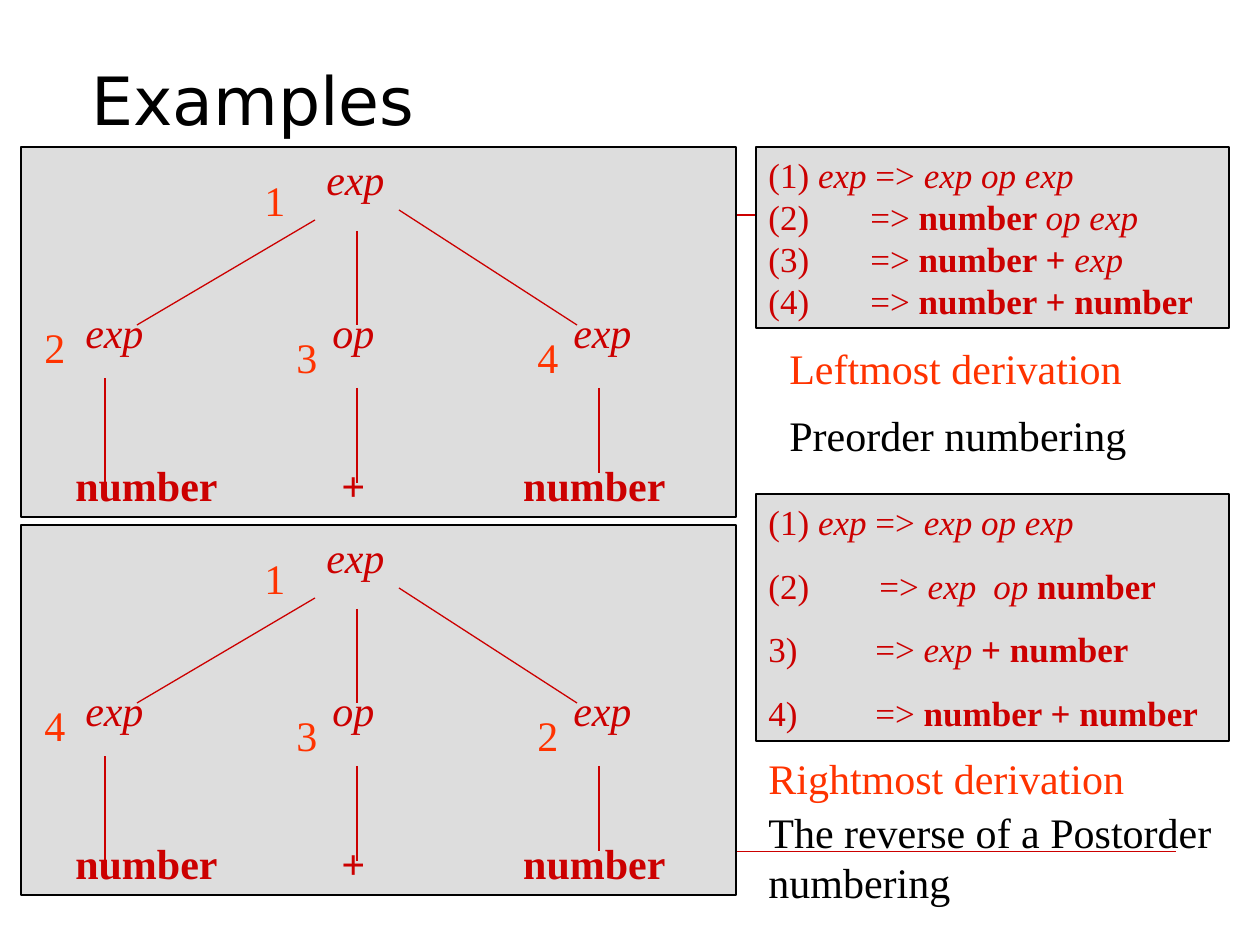
from lxml import etree
from pptx import Presentation
from pptx import util as u
from pptx.dml.color import RGBColor
from pptx.enum import shapes, text
from pptx.oxml.ns import qn

RED, ORANGE, BLACK, GREY = "CC0000", "FF3300", "000000", "DDDDDD"
SERIF, SANS = "Times New Roman", "DejaVu Sans"

RULES = [((84, 215, 1181, 215), 0.75), ((84, 851, 1176, 851), 0.25)]

# each paragraph: runs of (words, style), then its layout
TREE_ROWS = [
    ([("\texp", "i")], {"tabs": [322]}),
    ([("\texp\top\texp", "i")], {"tabs": [81, 320, 569]}),
    ([("\tnumber\t+\tnumber", "b")], {"tabs": [113, 320, 561]}),
]
EDGES = [
    (315, 220, 137, 325), (399, 210, 577, 325), (357, 231, 357, 325),
    (105, 378, 105, 483), (357, 388, 357, 483), (599, 388, 599, 473),
]
NUMBER_SPOTS = [(252, 168), (32, 315), (284, 325), (525, 325)]
TREES = [(0, "1234"), (378, "1432")]

FIRST_STEP = ([("(1) ", ""), ("exp", "i"), (" => ", ""), ("exp op exp", "i")], {})
LEFTMOST = [
    FIRST_STEP,
    ([("(2)\t=> ", ""), ("number ", "b"), ("op exp", "i")], {"tabs": [102]}),
    ([("(3)\t=> ", ""), ("number +", "b"), (" exp", "i")], {"tabs": [102]}),
    ([("(4)\t=> ", ""), ("number + number", "b")], {"tabs": [102]}),
]
RIGHTMOST = [
    FIRST_STEP,
    ([("(2)\t=> ", ""), ("exp\top", "i"), (" number", "b")], {"tabs": [111, 225]}),
    ([("=>", ""), (" exp", "i"), (" + number", "b")], {"hang": 107, "start": 3}),
    ([("=> ", ""), ("number + number", "b")], {"hang": 107, "start": 3}),
]
DERIVATIONS = [((756, 147, 473, 181), LEFTMOST, 0), ((756, 494, 473, 247), RIGHTMOST, 12.5)]

CAPTIONS = [
    ("Leftmost derivation", (777, 336, 451, 63), ORANGE),
    ("Rightmost derivation", (756, 746, 483, 63), ORANGE),
    ("Preorder numbering", (777, 403, 451, 63), BLACK),
    ("The reverse of a Postorder numbering", (756, 800, 483, 113), BLACK),
]


def px(n):
    return u.Emu(round(n * 914400 / 126))


def rgb(value):
    return RGBColor.from_string(value)


def add_line(s, ends, width=0.75):
    line = s.shapes.add_connector(shapes.MSO_CONNECTOR.STRAIGHT, *map(px, ends))
    line.line.color.rgb = rgb(RED)
    line.line.width = u.Pt(width)
    etree.SubElement(line._element.spPr, qn("a:effectLst"))


def write(sp, paragraphs, size, color, font=SERIF, before=0, align="l", wrap=True):
    tf = sp.text_frame
    tf.word_wrap = wrap
    tf.vertical_anchor = text.MSO_ANCHOR.TOP
    for i, (runs, layout) in enumerate(paragraphs):
        p = tf.add_paragraph() if i else tf.paragraphs[0]
        p.alignment = text.PP_ALIGN.LEFT
        if i and before:
            p.space_before = u.Pt(before)
        pPr = p._p.get_or_add_pPr()
        if "hang" in layout:
            pPr.set("marL", str(px(layout["hang"])))
            pPr.set("indent", str(-px(layout["hang"])))
            etree.SubElement(pPr, qn("a:buAutoNum"), type="arabicParenR",
                             startAt=str(layout["start"]))
        if "tabs" in layout:
            stops = etree.SubElement(pPr, qn("a:tabLst"))
            for stop in layout["tabs"]:
                etree.SubElement(stops, qn("a:tab"), pos=str(px(stop)), algn=align)
        for words, style in runs:
            r = p.add_run()
            r.text = words
            r.font.name, r.font.size = font, u.Pt(size)
            r.font.bold, r.font.italic = style == "b", style == "i"
            r.font.color.rgb = rgb(color)
    return tf


def add_label(s, words, box, size, color, **options):
    sp = s.shapes.add_textbox(*map(px, box))
    return write(sp, [([(words, "")], {})], size, color, **options)


def add_panel(s, box, paragraphs, size, **options):
    sp = s.shapes.add_shape(shapes.MSO_SHAPE.RECTANGLE, *map(px, box))
    sp.shadow.inherit = False
    sp.fill.solid()
    sp.fill.fore_color.rgb = rgb(GREY)
    sp.line.color.rgb = rgb(BLACK)
    sp.line.width = u.Pt(0.75)
    write(sp, paragraphs, size, RED, **options)


def main():
    """Build the slide of two parse trees and their derivations."""
    prs = Presentation()
    prs.slide_width, prs.slide_height = px(1260), px(945)
    s = prs.slides.add_slide(prs.slide_layouts[6])
    for ends, width in RULES:
        add_line(s, ends, width)
    title = add_label(s, "Examples", (79, 20, 1102, 125), 38, BLACK, font=SANS)
    title.vertical_anchor = text.MSO_ANCHOR.BOTTOM
    for dy, numbers in TREES:
        add_panel(s, (21, 147 + dy, 715, 370), TREE_ROWS, 24, before=58.6, align="ctr")
        for x1, y1, x2, y2 in EDGES:
            add_line(s, (x1, y1 + dy, x2, y2 + dy))
        for number, (x, y) in zip(numbers, NUMBER_SPOTS):
            add_label(s, number, (x, y + dy, 45, 63), 24, ORANGE, wrap=False)
    for box, steps, before in DERIVATIONS:
        add_panel(s, box, steps, 20, before=before)
    for words, box, color in CAPTIONS:
        add_label(s, words, box, 24, color)
    prs.save("out.pptx")


if __name__ == "__main__":
    main()
